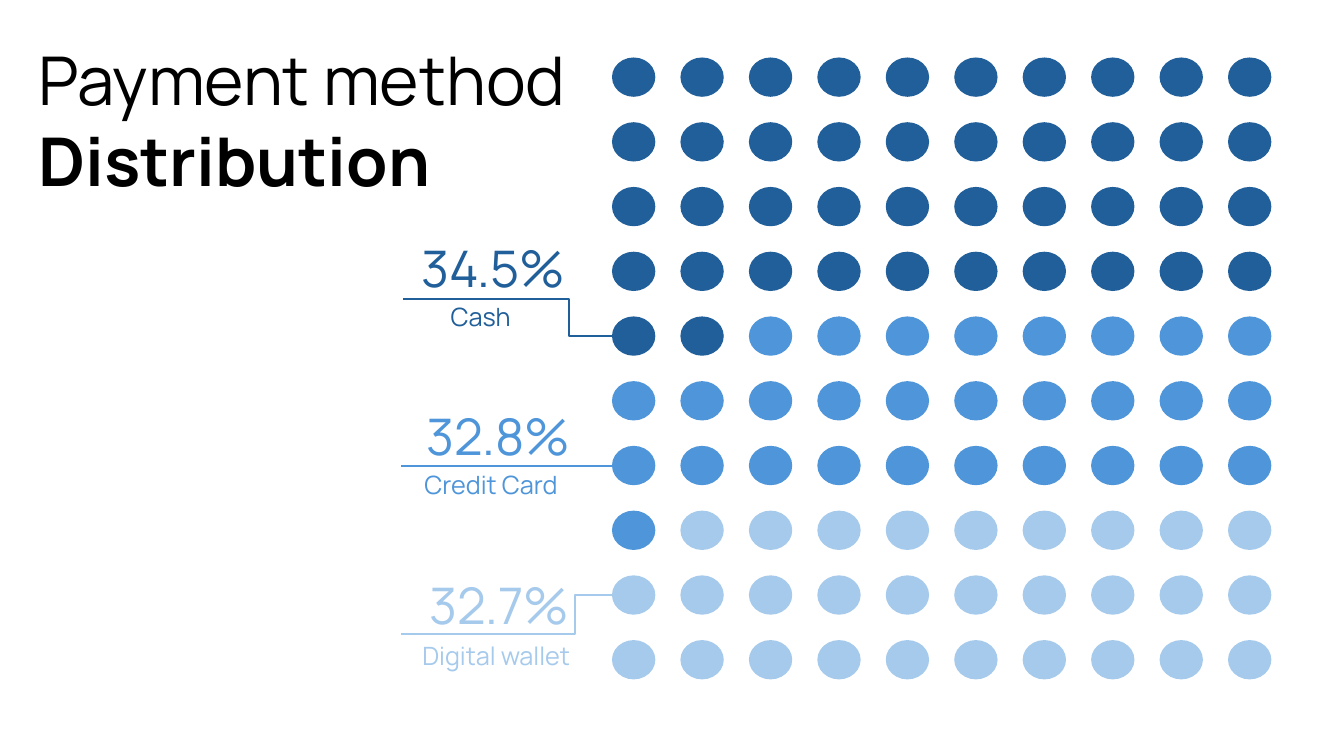
from lxml import etree
from pptx import Presentation
from pptx.dml.color import RGBColor
from pptx.enum.shapes import MSO_CONNECTOR, MSO_SHAPE
from pptx.enum.text import MSO_ANCHOR, MSO_AUTO_SIZE, PP_ALIGN
from pptx.oxml.ns import qn
from pptx.util import Inches, Pt

ELLIPSE = MSO_SHAPE.OVAL
STRAIGHT, ELBOW = MSO_CONNECTOR.STRAIGHT, MSO_CONNECTOR.ELBOW
TOP, LEFT = MSO_ANCHOR.TOP, PP_ALIGN.LEFT
GROW = MSO_AUTO_SIZE.SHAPE_TO_FIT_TEXT

FONT = "Manrope"
COLORS = {"title": "000000", "cash": "215F9A", "card": "4E95D9", "wallet": "A6CAEC"}

# Dot grid: 10 x 10, filled row by row
GRID_SIZE = 10
GRID_LEFT, GRID_TOP = 6.07, 0.57
COLUMN_STEP = (12.18 - GRID_LEFT) / (GRID_SIZE - 1)
ROW_STEP = (6.35 - GRID_TOP) / (GRID_SIZE - 1)
DOT_WIDTH, DOT_HEIGHT = 0.43, 0.39
DOT_COUNTS = {"cash": 42, "card": 29, "wallet": 29}

# Callouts: boxes are left, top, width, height; the bend is a share of the line's width
CALLOUTS = [
    {"color": "cash", "share": "34.5%", "share_box": (4.08, 2.3, 2.2, 0.71),
     "method": "Cash", "method_box": (4.37, 2.94, 0.94, 0.4),
     "start": (4, 2.97), "end": (GRID_LEFT, 3.33), "bend": 0.795},
    {"color": "card", "share": "32.8%", "share_box": (4.13, 3.97, 2.2, 0.71),
     "method": "Credit Card", "method_box": (4.11, 4.61, 1.54, 0.4),
     "start": (3.98, 4.62), "end": (GRID_LEFT, 4.62), "bend": None},
    {"color": "wallet", "share": "32.7%", "share_box": (4.16, 5.65, 2.2, 0.71),
     "method": "Digital wallet", "method_box": (4.09, 6.3, 1.74, 0.4),
     "start": (3.98, 6.29), "end": (GRID_LEFT, 5.9), "bend": 0.825},
]


class SlideBuilder:
    def __init__(self, slide):
        self.slide = slide

    def color(self, key):
        return RGBColor.from_string(COLORS[key])

    def add_run(self, paragraph, text, size, color, bold=False):
        run = paragraph.add_run()
        run.text = text
        run.font.name = FONT
        run.font.size = Pt(size)
        run.font.bold = bold
        run.font.color.rgb = self.color(color)

    def title(self, box, runs):
        title = self.slide.shapes.title
        title.left, title.top, title.width, title.height = map(Inches, box)
        frame = title.text_frame
        frame.word_wrap = True
        frame.auto_size = GROW
        frame.vertical_anchor = TOP
        paragraph = frame.paragraphs[0]
        paragraph.alignment = LEFT
        for text, bold in runs:
            self.add_run(paragraph, text, 48, "title", bold)

    def dot(self, left, top, color):
        dot = self.slide.shapes.add_shape(
            ELLIPSE, *map(Inches, (left, top, DOT_WIDTH, DOT_HEIGHT)))
        dot.shadow.inherit = False
        dot.fill.solid()
        dot.fill.fore_color.rgb = self.color(color)
        dot.line.fill.background()

    def text(self, shapes, box, text, size, color):
        frame = shapes.add_textbox(*map(Inches, box)).text_frame
        frame.word_wrap = True
        frame.auto_size = GROW
        self.add_run(frame.paragraphs[0], text, size, color)

    def leader(self, shapes, start, end, color, bend):
        kind = STRAIGHT if bend is None else ELBOW
        leader = shapes.add_connector(kind, *map(Inches, start + end))
        leader.line.color.rgb = self.color(color)
        leader.line.width = Pt(1.5)
        properties = leader.line._ln.getparent()
        etree.SubElement(properties, qn("a:effectLst"))
        if bend is not None:
            adjustments = properties.find(qn("a:prstGeom")).get_or_add_avLst()
            etree.SubElement(adjustments, qn("a:gd"), name="adj1",
                             fmla=f"val {round(bend * 100000)}")

    def callout(self, item):
        shapes = self.slide.shapes.add_group_shape().shapes
        color = item["color"]
        self.text(shapes, item["share_box"], item["share"], 36, color)
        self.text(shapes, item["method_box"], item["method"], 18, color)
        self.leader(shapes, item["start"], item["end"], color, item["bend"])


def main():
    presentation = Presentation()
    presentation.slide_width = Inches(13.33)
    presentation.slide_height = Inches(7.5)
    title_only = presentation.slide_layouts[5]
    builder = SlideBuilder(presentation.slides.add_slide(title_only))

    # Title
    builder.title((0.28, 0.33, 5.63, 1.72),
                  [("Payment method ", False), ("Distribution", True)])

    # Dots
    dot_colors = [color for color, count in DOT_COUNTS.items() for _ in range(count)]
    for index, color in enumerate(dot_colors):
        row, column = divmod(index, GRID_SIZE)
        builder.dot(GRID_LEFT + column * COLUMN_STEP, GRID_TOP + row * ROW_STEP, color)

    # Callouts
    for item in CALLOUTS:
        builder.callout(item)

    presentation.save("out.pptx")


if __name__ == "__main__":
    main()
